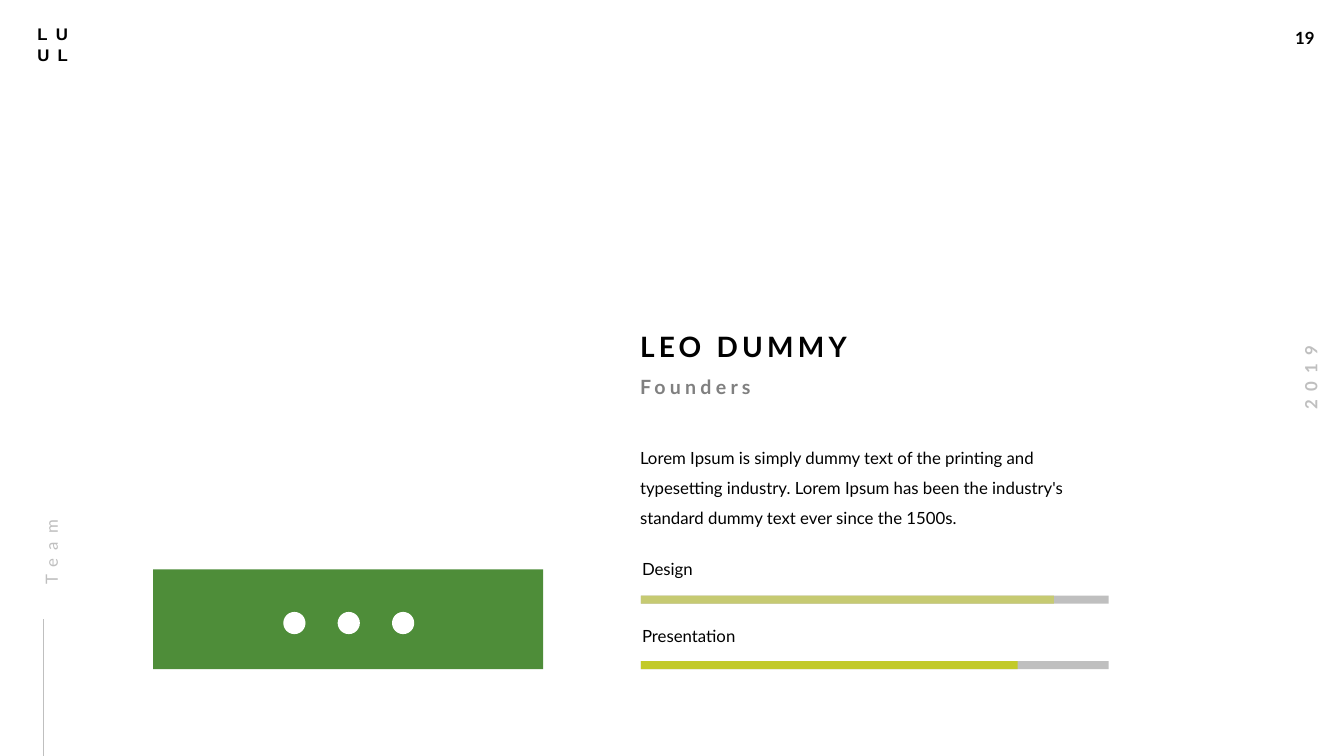
from lxml import etree
from pptx import Presentation
from pptx.dml.color import RGBColor
from pptx.enum.shapes import MSO_CONNECTOR, MSO_SHAPE
from pptx.enum.text import MSO_ANCHOR, MSO_AUTO_SIZE, PP_ALIGN
from pptx.oxml.ns import qn
from pptx.util import Cm, Pt

LEFT, CENTER = PP_ALIGN.LEFT, PP_ALIGN.CENTER
TOP = MSO_ANCHOR.TOP
FIT_SHAPE = MSO_AUTO_SIZE.SHAPE_TO_FIT_TEXT
RECTANGLE, OVAL = MSO_SHAPE.RECTANGLE, MSO_SHAPE.OVAL
STRAIGHT = MSO_CONNECTOR.STRAIGHT

COLORS = {
    "black": "000000",
    "white": "FFFFFF",
    "gray": "808080",
    "silver": "BFBFBF",
    "green": "4E8D39",
    "olive": "C6CA72",
    "lime": "C2CA28",
}
PADDED = (0.25, 0.13, 0.25, 0.13)
FLUSH = (0, 0, 0.25, 0)


class SlideBuilder:
    def __init__(self, slide, font="Lato"):
        self.slide = slide
        self.font = font

    def color(self, name):
        return RGBColor.from_string(COLORS[name])

    def place(self, shape, area):
        shape.left, shape.top, shape.width, shape.height = map(Cm, area)

    def fill_text(self, box, text, size=12, color="black", bold=False, spacing=0,
                  insets=PADDED, line_spacing=1.0, align=LEFT, wrap=True, font=None):
        frame = box.text_frame
        frame.text = text
        frame.word_wrap = wrap
        frame.auto_size = FIT_SHAPE
        frame.vertical_anchor = TOP
        (frame.margin_left, frame.margin_top,
         frame.margin_right, frame.margin_bottom) = map(Cm, insets)
        for para in frame.paragraphs:
            para.alignment = align
            para.line_spacing = line_spacing
            for span in para.runs:
                span.font.name = font or self.font
                span.font.size = Pt(size)
                span.font.bold = bold
                span.font.color.rgb = self.color(color)
                if spacing:
                    span._r.get_or_add_rPr().set("spc", str(spacing * 100))

    def title(self, area, text, **style):
        box = self.slide.shapes.title
        self.place(box, area)
        self.fill_text(box, text, **style)

    def text(self, area, text, rotation=0, **style):
        box = self.slide.shapes.add_textbox(*map(Cm, area))
        box.rotation = rotation
        self.fill_text(box, text, **style)

    def shape(self, kind, area, color):
        shape = self.slide.shapes.add_shape(kind, *map(Cm, area))
        shape.shadow.inherit = False
        shape.fill.solid()
        shape.fill.fore_color.rgb = self.color(color)
        shape.line.fill.background()

    def line(self, start, end, color, width):
        line = self.slide.shapes.add_connector(STRAIGHT, *map(Cm, start + end))
        line.line.color.rgb = self.color(color)
        line.line.width = Pt(width)
        etree.SubElement(line._element.spPr, qn("a:effectLst"))

    def skill(self, name, label_top, bar_top, level_width, color):
        self.text((15.93, label_top, 6.07, 0.76), name)
        self.shape(RECTANGLE, (16.15, bar_top, 11.79, 0.2), "silver")
        self.shape(RECTANGLE, (16.15, bar_top, level_width, 0.2), color)


def main():
    deck = Presentation()
    deck.slide_width, deck.slide_height = Cm(33.87), Cm(19.05)
    page = SlideBuilder(deck.slides.add_slide(deck.slide_layouts[5]))

    page.text((32.39, 0.56, 1.04, 0.76), "19", bold=True, wrap=False)
    page.text((31.85, 9.14, 2.36, 0.76), "2019", rotation=270, color="silver",
              bold=True, spacing=6, align=CENTER, wrap=False)
    page.text((0.69, 0.48, 1.5, 1.27), "LU\nUL", bold=True, spacing=6, font="Arial")

    page.line((1.09, 19.05), (1.09, 15.6), "silver", 0.5)
    page.text((-1.24, 12.04, 4.7, 0.66), "Team", rotation=270, color="silver",
              spacing=6, insets=FLUSH, line_spacing=1.5)

    page.title((16.13, 8.31, 8.89, 0.86), "LEO DUMMY", size=20, bold=True,
               spacing=3, insets=FLUSH)
    page.text((16.13, 9.45, 5.36, 0.61), "Founders", size=14, color="gray",
              bold=True, spacing=3, insets=FLUSH)
    page.text((16.13, 11.02, 11.15, 2.21),
              "Lorem Ipsum is simply dummy text of the printing and typesetting "
              "industry. Lorem Ipsum has been the industry's standard dummy text "
              "ever since the 1500s.", insets=FLUSH, line_spacing=1.5)

    page.skill("Design", 13.94, 15.01, 10.41, "olive")
    page.skill("Presentation", 15.65, 16.66, 9.5, "lime")

    page.shape(RECTANGLE, (3.86, 14.35, 9.83, 2.51), "green")
    for index in range(3):
        page.shape(OVAL, (7.14 + index * 1.37, 15.42, 0.56, 0.56), "white")

    deck.save("out.pptx")


if __name__ == "__main__":
    main()
